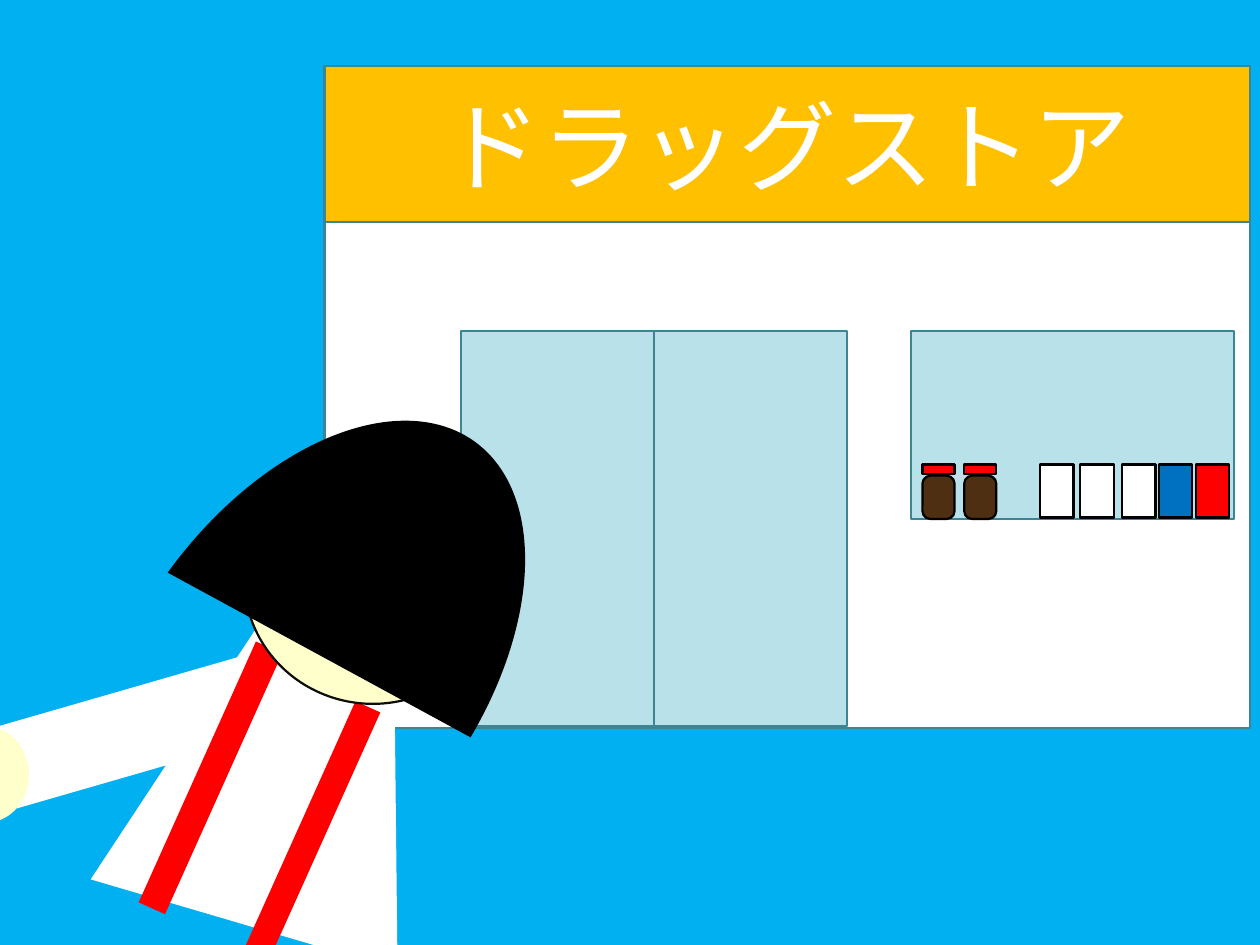
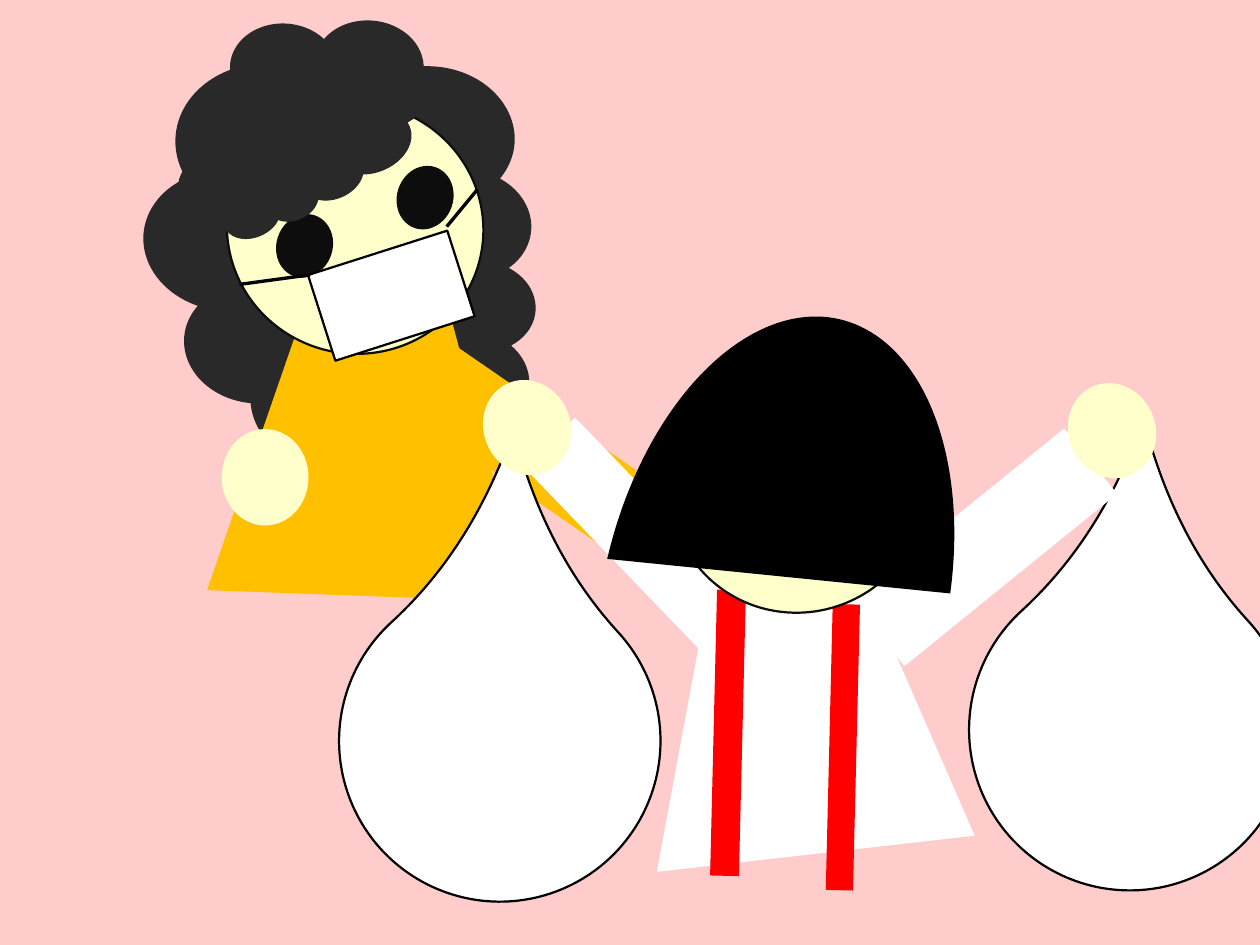
from pptx import Presentation
from pptx.dml.color import RGBColor
from pptx.enum.shapes import MSO_CONNECTOR as Connector, MSO_SHAPE as Shape
from pptx.enum.text import MSO_ANCHOR as Anchor, PP_ALIGN as Align
from pptx.oxml.ns import qn
from pptx.util import Inches, Pt
from lxml.etree import SubElement

SKY = RGBColor(0x00, 0xB0, 0xF0)
PINK = RGBColor(0xFF, 0xCC, 0xCC)
WHITE = RGBColor(0xFF, 0xFF, 0xFF)
BLACK = RGBColor(0x00, 0x00, 0x00)
INK = RGBColor(0x0D, 0x0D, 0x0D)
CURLS = RGBColor(0x29, 0x29, 0x29)
TEAL = RGBColor(0x3B, 0x85, 0x94)
GLASS = RGBColor(0xB9, 0xE1, 0xE9)
AMBER = RGBColor(0xFF, 0xC0, 0x00)
SKIN = RGBColor(0xFF, 0xFF, 0xCC)
RED = RGBColor(0xFF, 0x00, 0x00)
BLUE = RGBColor(0x00, 0x70, 0xC0)
BROWN = RGBColor(0x4E, 0x2F, 0x12)

FONT = "Calibri"
LONG_ARM = (0.51, 1.69)
SHORT_ARM = (0.43, 1.62)
DRESS = (1.99, 2.31)
FACE = (1.6, 1.56)
HAND = (0.54, 0.6)
EYE = (0.35, 0.4)
HAIR = (3.56, 2.14)
RIGHT_STRAP = (0.17, 1.78)
LEFT_STRAP = (0.18, 1.78)


class Scene:
    def __init__(self, deck, background):
        self.page = deck.slides.add_slide(deck.slide_layouts[6])
        self.page.background.fill.solid()
        self.page.background.fill.fore_color.rgb = background
        self.shapes = self.page.shapes

    def start_group(self):
        self.shapes = self.page.shapes.add_group_shape().shapes

    def end_group(self):
        self.shapes = self.page.shapes

    def shape(self, kind, place, size, fill, line=None, adjust=()):
        left, top, turn = place
        box = self.shapes.add_shape(kind, Inches(left), Inches(top), *map(Inches, size))
        box.rotation = turn
        box.shadow.inherit = False
        for index, value in enumerate(adjust):
            box.adjustments[index] = value
        box.fill.solid()
        box.fill.fore_color.rgb = fill
        if line is None:
            box.line.fill.background()
        else:
            box.line.color.rgb = line
            box.line.width = Pt(1)
        return box

    def rect(self, left, top, width, height, fill, line):
        return self.shape(Shape.RECTANGLE, (left, top, 0), (width, height), fill, line)

    def label(self, box, text, size, color):
        box.text_frame.vertical_anchor = Anchor.MIDDLE
        para = box.text_frame.paragraphs[0]
        para.alignment = Align.CENTER
        span = para.add_run()
        span.text = text
        span.font.name = FONT
        span.font.size = Pt(size)
        span.font.color.rgb = color

    def line(self, start, end, color, width):
        string = self.shapes.add_connector(Connector.STRAIGHT, *map(Inches, start + end))
        string.line.color.rgb = color
        string.line.width = Pt(width)
        SubElement(string._element.spPr, qn("a:effectLst"))

    def arm(self, place, size, fill, line=None):
        self.shape(Shape.RECTANGLE, place, size, fill, line)

    def dress(self, place, fill):
        self.shape(Shape.TRAPEZOID, place, DRESS, fill, adjust=[0.355])

    def face(self, place):
        self.shape(Shape.OVAL, place, FACE, SKIN, INK)

    def hand(self, place):
        self.shape(Shape.OVAL, place, HAND, SKIN)

    def curls(self, place, size):
        self.shape(Shape.CLOUD, place, size, CURLS)

    def bag(self, left, top):
        self.shape(Shape.TEAR, (left, top, 317.5), (2, 2), WHITE, BLACK, [1.371])

    def bottle(self, left):
        self.start_group()
        self.shape(Shape.ROUNDED_RECTANGLE, (left, 2.96, 0), (0.2, 0.27), BROWN, BLACK, [0.253])
        self.rect(left, 2.89, 0.2, 0.06, RED, BLACK)
        self.end_group()

    def girl(self, long_arm, short_arm, dress, right_strap, left_strap, face, hand, hair):
        self.start_group()
        self.arm(long_arm, LONG_ARM, WHITE, WHITE)
        self.arm(short_arm, SHORT_ARM, WHITE, WHITE)
        self.dress(dress, WHITE)
        self.shape(Shape.RECTANGLE, right_strap, RIGHT_STRAP, RED)
        self.shape(Shape.RECTANGLE, left_strap, LEFT_STRAP, RED)
        self.face(face)
        self.hand(hand)
        self.shape(Shape.CHORD, hair, HAIR, BLACK, adjust=[53.985, 153.276])
        self.end_group()

    def woman(self):
        tilt = 18.5
        self.start_group()
        self.curls((0.73, 0.29, 94.8), (2.81, 2.47))
        self.arm((3.05, 1.94, 304.6), LONG_ARM, AMBER)
        self.dress((1.33, 1.4, 2.1), AMBER)
        self.face((1.41, 0.64, tilt))
        for left, top in ((2.47, 1.03), (1.72, 1.33)):
            self.shape(Shape.OVAL, (left, top, tilt), EYE, INK)
        self.hand((3.83, 3.04, tilt))
        self.curls((1.05, 0.45, 157), (1.63, 0.88))
        self.shape(Shape.RECTANGLE, (1.98, 1.56, 342.3), (0.91, 0.56), WHITE, BLACK)
        self.line((1.49, 1.77), (1.93, 1.71), BLACK, 1.5)
        self.line((2.78, 1.41), (2.97, 1.18), BLACK, 1.5)
        self.hand((1.38, 2.67, 0))
        self.end_group()


def draw_store(deck):
    scene = Scene(deck, SKY)
    scene.rect(2.02, 0.41, 5.76, 4.12, WHITE, TEAL)
    sign = scene.rect(2.02, 0.41, 5.76, 0.97, AMBER, TEAL)
    scene.label(sign, "ドラッグストア", 44, WHITE)
    for door in range(2):
        scene.rect(2.87 + 1.2 * door, 2.06, 1.2, 2.46, GLASS, TEAL)
    scene.rect(5.67, 2.06, 2.01, 1.17, GLASS, TEAL)
    scene.girl(
        long_arm=(0.59, 3.7, 73.9),
        short_arm=(1.97, 4.45, 0),
        dress=(0.85, 3.49, 16.4),
        right_strap=(1.84, 4.32, 24.2),
        left_strap=(1.22, 3.95, 24.2),
        face=(1.52, 2.82, 0),
        hand=(-0.36, 4.52, 0),
        hair=(0.13, 3.12, 125.9),
    )
    for left in (5.74, 6):
        scene.bottle(left)
    cartons = ((6.47, WHITE), (6.72, WHITE), (6.98, WHITE), (7.21, BLUE), (7.44, RED))
    for left, color in cartons:
        scene.rect(left, 2.89, 0.21, 0.33, color, BLACK)


def draw_shopping(deck):
    scene = Scene(deck, PINK)
    scene.woman()
    scene.bag(6.03, 3.54)
    scene.bag(2.11, 3.61)
    scene.girl(
        long_arm=(5.87, 2.56, 51),
        short_arm=(3.77, 2.53, 316.1),
        dress=(3.95, 3.01, 353.5),
        right_strap=(5.16, 3.76, 1.4),
        left_strap=(4.44, 3.67, 1.4),
        face=(4.17, 2.25, 337.2),
        hand=(3.01, 2.36, 337.2),
        hair=(3.04, 2.65, 103.1),
    )
    scene.hand((6.65, 2.38, 337.2))


def main():
    deck = Presentation()
    deck.slide_width = Inches(7.84)
    deck.slide_height = Inches(5.88)
    draw_store(deck)
    draw_shopping(deck)
    deck.save("out.pptx")


if __name__ == "__main__":
    main()
